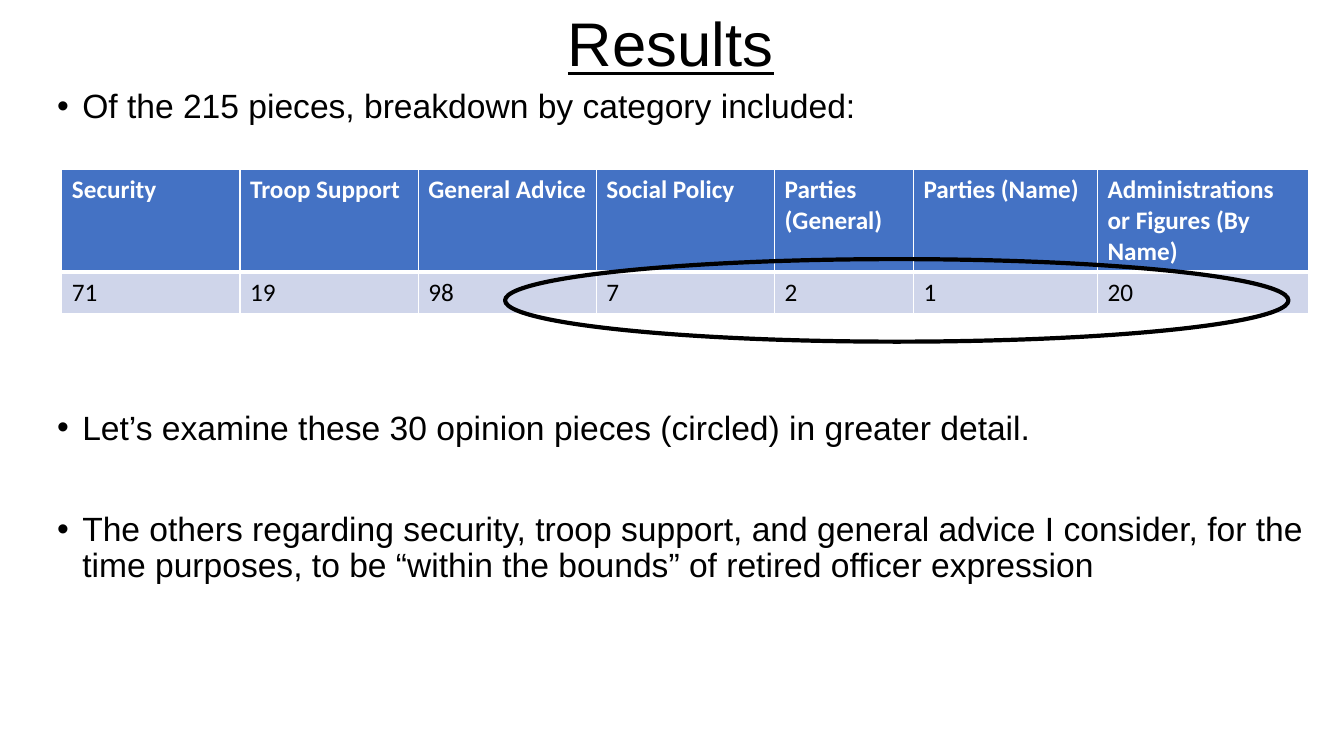
import pptx
import pptx.util
import pptx.dml.color
import pptx.enum.shapes
import pptx.enum.text
import pptx.oxml
import pptx.oxml.ns
from pptx.util import Cm

COLORS = {
    "text": "000000",
    "white": "FFFFFF",
    "header": "4472C4",
    "row": "CFD5EA",
}

CATEGORIES = [
    ("Security", "71", 4.49),
    ("Troop Support", "19", 4.49),
    ("General Advice", "98", 4.49),
    ("Social Policy", "7", 4.49),
    ("Parties (General)", "2", 3.5),
    ("Parties (Name)", "1", 4.64),
    ("Administrations or Figures (By Name)", "20", 5.33),
]

BULLETS = [
    ("Of the 215 pieces, breakdown by category included:", 0),
    ("Let’s examine these 30 opinion pieces (circled) in greater detail.", 203.8),
    ("The others regarding security, troop support, and general advice I consider, "
     "for the time purposes, to be “within the bounds” of retired officer expression", 46.6),
]


def rgb(name):
    return pptx.dml.color.RGBColor.from_string(COLORS[name])


class SlideBuilder:
    body_font = "Arial"
    table_font = "Calibri"

    def __init__(self, prs):
        self.s = prs.slides.add_slide(prs.slide_layouts[5])

    def style(self, p, font, size, color="text", bold=False):
        p.font.name = font
        p.font.size = pptx.util.Pt(size)
        p.font.bold = bold
        p.font.color.rgb = rgb(color)

    def title(self, text, left, top, width, height):
        sp = self.s.shapes.title
        sp.left, sp.top, sp.width, sp.height = left, top, width, height
        tf = sp.text_frame
        tf.text = text
        tf.vertical_anchor = pptx.enum.text.MSO_ANCHOR.MIDDLE
        p = tf.paragraphs[0]
        p.alignment = pptx.enum.text.PP_ALIGN.CENTER
        self.style(p, self.body_font, 44)
        p.font.underline = True

    def bullets(self, items, left, top, width, height):
        tf = self.s.shapes.add_textbox(left, top, width, height).text_frame
        tf.word_wrap = True
        for i, (text, space) in enumerate(items):
            p = tf.add_paragraph() if i else tf.paragraphs[0]
            p.text = text
            p.line_spacing = 0.9
            p.space_before = pptx.util.Pt(space)
            self.style(p, self.body_font, 24)
            pPr = p._p.get_or_add_pPr()
            pPr.set("marL", "228600")
            pPr.set("indent", "-228600")
            ns = pptx.oxml.ns.nsdecls("a")
            bullet = (f'<a:buFont {ns} typeface="Arial"/>', f'<a:buChar {ns} char="•"/>')
            for n, xml in enumerate(bullet):
                pPr.insert(2 + n, pptx.oxml.parse_xml(xml))

    def table(self, columns, heights, left, top):
        widths = [Cm(width) for _, _, width in columns]
        table = self.s.shapes.add_table(
            len(heights), len(columns), left, top, sum(widths), sum(heights)).table
        for row, height in zip(table.rows, heights):
            row.height = height
        for c, (name, count, _) in enumerate(columns):
            table.columns[c].width = widths[c]
            self.cell(table.cell(0, c), name, "header", "white", True, {"B": 3})
            self.cell(table.cell(1, c), count, "row", "text", False, {"T": 3})

    def cell(self, cell, text, fill, color, bold, thick):
        cell.text = text
        self.style(cell.text_frame.paragraphs[0], self.table_font, 18, color, bold)
        cell.fill.solid()
        cell.fill.fore_color.rgb = rgb(fill)
        tcPr = cell._tc.get_or_add_tcPr()
        for i, side in enumerate("LRTB"):
            width = pptx.util.Pt(thick.get(side, 1))
            tcPr.insert(i, pptx.oxml.parse_xml(
                f'<a:ln{side} {pptx.oxml.ns.nsdecls("a")} w="{width}"><a:solidFill>'
                f'<a:srgbClr val="{COLORS["white"]}"/></a:solidFill></a:ln{side}>'))

    def ellipse(self, left, top, width, height):
        sp = self.s.shapes.add_shape(
            pptx.enum.shapes.MSO_SHAPE.OVAL, left, top, width, height)
        sp.shadow.inherit = False
        sp.fill.background()
        sp.line.color.rgb = rgb("text")
        sp.line.width = pptx.util.Pt(3)


def main():
    prs = pptx.Presentation()
    prs.slide_width, prs.slide_height = Cm(33.87), Cm(19.05)
    slide = SlideBuilder(prs)
    slide.title("Results", Cm(8.84), Cm(0), Cm(16.13), Cm(2.13))
    slide.bullets(BULLETS, Cm(1.19), Cm(2.13), Cm(32.11), Cm(16.61))
    slide.table(CATEGORIES, [Cm(2.59), Cm(1.04)], Cm(1.56), Cm(4.27))
    slide.ellipse(Cm(12.73), Cm(6.53), Cm(19.74), Cm(2.08))
    prs.save("out.pptx")


if __name__ == "__main__":
    main()
